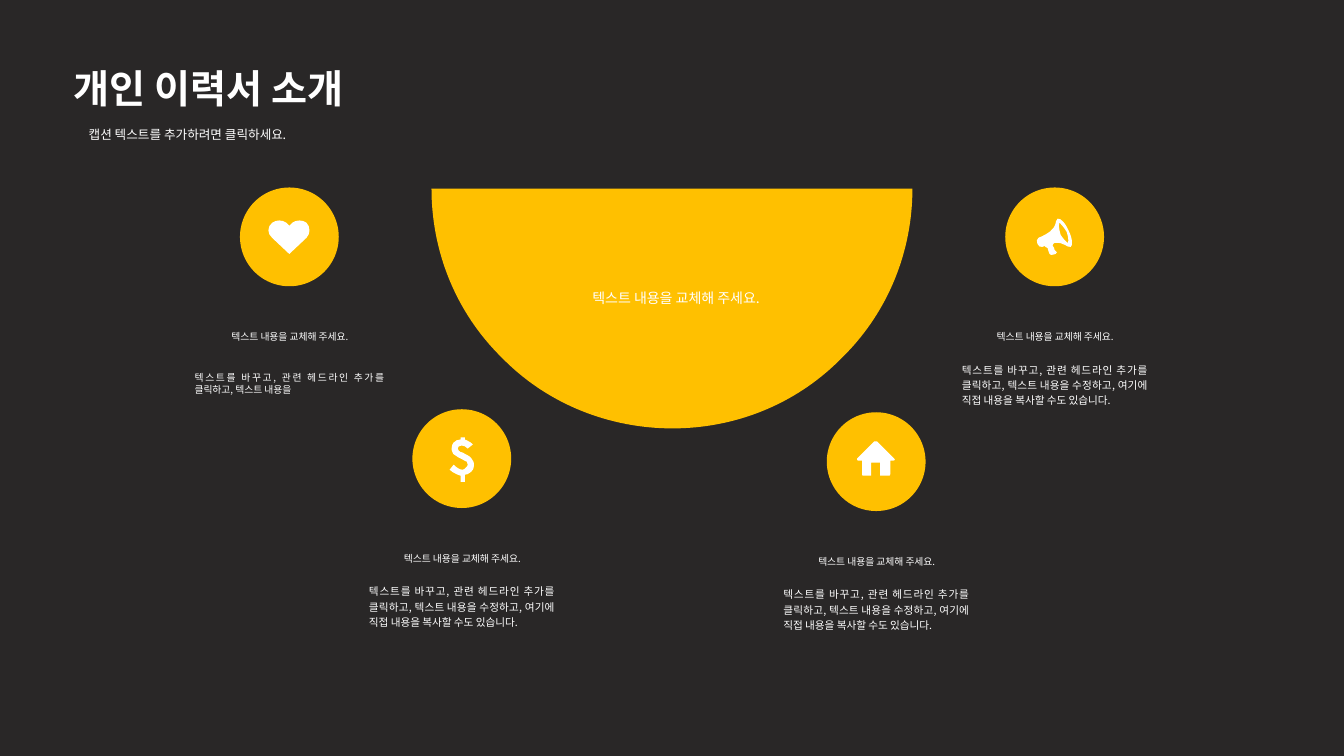
from lxml import etree
from pptx import Presentation
from pptx import util as u
from pptx.dml.color import RGBColor
from pptx.enum import shapes, text
from pptx.oxml import ns

COLORS = {"ground": "292727", "accent": "FFC000", "light": "FFFFFF"}
FONT = "Noto Sans CJK KR"
DISC = 0.98
LABEL = "텍스트 내용을 교체해 주세요."
SHORT_BODY = "텍스트를 바꾸고, 관련 헤드라인 추가를 클릭하고, 텍스트 내용을"
LONG_BODY = SHORT_BODY + " 수정하고, 여기에 직접 내용을 복사할 수도 있습니다."

BOWL = """M 239 238 C 300 238 361 215 407 168 C 454 122 477 61 477 0 L 0 0
C 0 61 23 122 70 168 C 116 215 178 238 239 238"""
HEART = """M 37 2 C 33 -1 27 -1 23 2 L 20 5 L 17 2 C 13 -1 7 -1 3 2
C -2 6 -2 13 3 17 L 20 33 L 37 17 C 41 13 41 6 37 2"""
HOUSE = """M 37 17 L 20 0 C 19 0 18 0 17 0 L 0 17 C 0 18 0 19 1 19 L 5 19 L 5 32
C 5 33 5 34 6 34 L 14 34 L 14 21 L 23 21 L 23 34 L 32 34 C 33 34 33 33 33 32
L 33 19 L 36 19 C 38 19 38 18 37 17"""
DOLLAR = """M 23 7 L 18 11 C 16 9 14 8 12 8 C 11 8 10 8 9 9 C 8 10 8 10 8 11
C 8 12 8 12 9 13 C 10 14 11 15 13 15 C 16 17 19 18 20 19 C 21 20 22 21 23 23
C 24 24 24 25 24 27 C 24 29 24 31 23 32 C 22 33 21 35 20 35 C 19 36 17 37 15 37
L 15 44 L 11 44 L 11 38 C 9 37 7 37 6 36 C 4 35 2 34 0 32 L 4 27
C 7 30 10 32 13 32 C 14 32 15 31 16 30 C 17 29 18 28 18 27 C 18 26 17 25 17 24
C 16 24 15 23 13 22 C 9 20 7 19 6 18 C 4 17 3 16 3 15 C 2 13 2 12 2 11
C 2 8 3 6 4 5 C 6 3 8 2 11 2 L 11 0 L 15 0 L 15 2
C 17 3 18 3 19 4 C 20 4 21 5 23 7"""
MEGAPHONE = """M 31 24 C 31 24 27 21 24 16 C 22 10 22 4 23 4 C 23 4 27 8 30 13
C 32 19 32 24 31 24 M 32 12 C 29 5 24 -1 21 0 C 17 2 24 10 2 19
C 0 20 0 23 1 25 C 2 27 4 29 6 28 L 8 27 C 9 29 10 28 11 29 C 11 31 13 34 13 35
C 14 36 15 36 15 36 C 16 36 19 35 19 35 C 20 34 21 33 20 33
C 20 32 19 32 18 31 C 18 30 17 27 16 27 C 16 25 17 25 18 24
C 28 23 30 29 34 28 C 36 27 36 20 32 12"""


def paint(shape, color):
    shape.fill.solid()
    shape.fill.fore_color.rgb = RGBColor.from_string(COLORS[color])
    shape.line.fill.background()
    shape.shadow.inherit = False


def bend(shape, commands):
    segments = iter(list(shape._element.iter(ns.qn("a:lnTo"))))
    for command in commands:
        if command == "L":
            next(segments)
        elif command == "C":
            curve = next(segments)
            curve.tag = ns.qn("a:cubicBezTo")
            for _ in range(2):
                segment = next(segments)
                curve.append(segment[0])
                segment.getparent().remove(segment)


def add_outline(page, left, top, outline, color):
    tokens = iter(outline.split())
    commands = []
    contours = []
    for command in tokens:
        commands.append(command)
        if command == "M":
            contours.append([])
        for _ in range(3 if command == "C" else 1):
            x, y = int(next(tokens)), int(next(tokens))
            contours[-1].append((u.Inches(left + x / 100), u.Inches(top + y / 100)))
    builder = page.shapes.build_freeform(*contours[0][0], scale=1.0)
    for index, contour in enumerate(contours):
        if index:
            builder.move_to(*contour[0])
        builder.add_line_segments(contour[1:], close=True)
    shape = builder.convert_to_shape()
    bend(shape, commands)
    paint(shape, color)


def add_words(page, box, words, size, spacing=1.0, align=text.PP_ALIGN.LEFT, bold=False):
    frame = page.shapes.add_textbox(*map(u.Inches, box)).text_frame
    frame.word_wrap = True
    frame.margin_left = frame.margin_right = frame.margin_top = frame.margin_bottom = 0
    para = frame.paragraphs[0]
    para.alignment = align
    para.line_spacing = spacing
    span = para.add_run()
    span.text = words
    span.font.size = u.Pt(size)
    span.font.name = FONT
    span.font.bold = bold
    span.font.color.rgb = RGBColor.from_string(COLORS["light"])
    etree.SubElement(span.font._element, ns.qn("a:ea"), typeface=FONT)


def add_heading(page, left, top):
    add_words(page, (left, top, 3.07, 0.47), "개인 이력서 소개", 28, bold=True)
    add_words(page, (left + 0.15, top + 0.62, 2.4, 0.15), "캡션 텍스트를 추가하려면 클릭하세요.", 9)


def add_bowl(page, left, top):
    add_outline(page, left, top, BOWL, "accent")
    add_words(page, (left + 1.4, top + 1, 2.05, 0.17), LABEL, 10, align=text.PP_ALIGN.CENTER)


def add_item(page, left, top, icon, icon_left, icon_top, brief=False):
    disc = page.shapes.add_shape(shapes.MSO_SHAPE.OVAL,
                                 *map(u.Inches, (left, top, DISC, DISC)))
    paint(disc, "accent")
    add_outline(page, left + icon_left, top + icon_top, icon, "light")
    add_words(page, (left - 0.31, top + 1.4, 1.61, 0.14), LABEL, 7, 1.2, text.PP_ALIGN.CENTER)
    if brief:
        add_words(page, (left - 0.45, top + 1.83, 1.88, 0.23), SHORT_BODY, 7,
                  align=text.PP_ALIGN.JUSTIFY)
    else:
        add_words(page, (left - 0.43, top + 1.72, 1.84, 0.45), LONG_BODY, 7.6, 1.2,
                  text.PP_ALIGN.JUSTIFY)


def main():
    deck = Presentation()
    deck.slide_width, deck.slide_height = u.Inches(13.33), u.Inches(7.5)
    page = deck.slides.add_slide(deck.slide_layouts[6])
    page.background.fill.solid()
    page.background.fill.fore_color.rgb = RGBColor.from_string(COLORS["ground"])
    add_bowl(page, 4.28, 1.87)
    add_item(page, 2.38, 1.86, HEART, 0.29, 0.33, brief=True)
    add_item(page, 4.09, 4.06, DOLLAR, 0.37, 0.28)
    add_item(page, 8.2, 4.09, HOUSE, 0.3, 0.29)
    add_item(page, 9.97, 1.86, MEGAPHONE, 0.31, 0.31)
    add_heading(page, 0.73, 0.64)
    deck.save("out.pptx")


if __name__ == "__main__":
    main()
